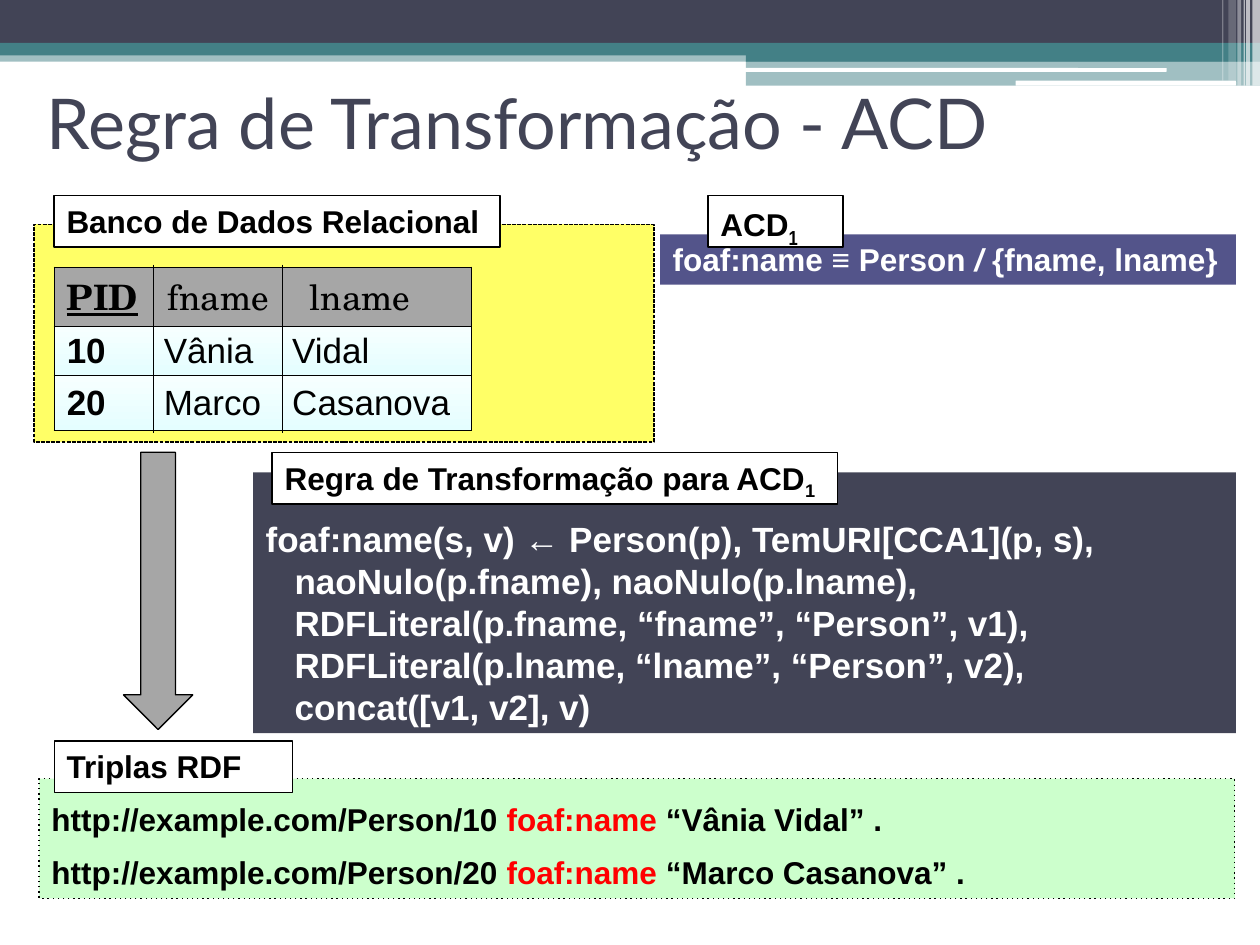
import lxml.etree
import pptx
import pptx.dml.color
import pptx.enum.dml
import pptx.enum.shapes
import pptx.enum.text
import pptx.oxml
import pptx.oxml.ns
import pptx.util

Inches = pptx.util.Inches
Pt = pptx.util.Pt
SHAPE = pptx.enum.shapes.MSO_SHAPE
DASH = pptx.enum.dml.MSO_LINE
ANCHOR = pptx.enum.text.MSO_ANCHOR
LEFT = pptx.enum.text.PP_ALIGN.LEFT
qn = pptx.oxml.ns.qn

COLORS = {
    "navy": "424456", "teal": "438086", "white": "FFFFFF", "black": "000000",
    "yellow": "FFFF66", "indigo": "53548A", "gray": "A6A6A6", "red": "FF0000",
    "green": "CCFFCC", "ice_top": "F6FFFF", "ice_bottom": "E4FEFF",
}
LABEL = {"size": 18, "name": "Arial", "bold": True, "color": "black"}
LIGHT_LABEL = {**LABEL, "color": "white"}
CODE = {**LIGHT_LABEL, "size": 20}
RED_LABEL = {**LABEL, "color": "red"}
CELL = {"size": 20, "name": "Arial", "bold": False, "color": "black"}
HEADER = {**CELL, "name": "TeX Gyre Schola"}

# Top band: left, top, width, height, color, opacity in percent, rounded
BAND = [
    (0, 0.4, 10, 0.09, "teal", 50, False),
    (0, 0, 10, 0.34, "navy", 100, False),
    (0, 0.34, 10, 0.1, "teal", 100, False),
    (5.92, 0.39, 4.08, 0.1, "teal", 100, False),
    (5.92, 0.48, 4.08, 0.2, "teal", 50, False),
    (5.91, 0.54, 3.35, 0.03, "white", 100, True),
    (8.06, 0.64, 1.75, 0.04, "white", 100, True),
    (9.94, 0, 0.06, 0.68, "white", 65, False),
    (9.89, 0, 0.03, 0.68, "white", 65, False),
    (9.87, 0, 0.01, 0.68, "white", 60, False),
    (9.82, 0, 0.03, 0.68, "white", 40, False),
    (9.75, 0, 0.06, 0.64, "white", 20, False),
    (9.7, 0, 0.01, 0.64, "white", 30, False),
]


def rgb(name):
    return pptx.dml.color.RGBColor.from_string(COLORS[name])


def add_shape(page, place, fill, line=None, dash=None, kind=SHAPE.RECTANGLE):
    shape = page.shapes.add_shape(kind, *map(Inches, place))
    shape.shadow.inherit = False
    shape.fill.solid()
    shape.fill.fore_color.rgb = rgb(fill)
    if line:
        shape.line.color.rgb = rgb(line)
        shape.line.width = Pt(0.75)
        if dash:
            shape.line.dash_style = dash
    else:
        shape.line.fill.background()
    return shape


def add_span(para, text, style, baseline=None):
    span = para.add_run()
    span.text = text
    for key, value in style.items():
        if key == "color":
            span.font.color.rgb = rgb(value)
        else:
            setattr(span.font, key, Pt(value) if key == "size" else value)
    if baseline:
        span.font._element.set("baseline", str(baseline * 1000))


def write(frame, paragraphs, spacing=None):
    """Each paragraph is a list of (text, style[, baseline]) spans."""
    frame.word_wrap = True
    frame.vertical_anchor = ANCHOR.TOP
    for index, spans in enumerate(paragraphs):
        para = frame.add_paragraph() if index else frame.paragraphs[0]
        para.alignment = LEFT
        if spacing:
            para.line_spacing = spacing
        for span in spans:
            add_span(para, *span)


def add_label(page, left, top, width, *spans):
    box = add_shape(page, (left, top, width, 0.41), "white", "black")
    write(box.text_frame, [spans])


def add_line(page, x, top, bottom):
    line = page.shapes.add_connector(
        pptx.enum.shapes.MSO_CONNECTOR.STRAIGHT,
        Inches(x), Inches(top), Inches(x), Inches(bottom))
    line.line.color.rgb = rgb("black")
    line.line.width = Pt(0.75)
    lxml.etree.SubElement(line._element.spPr, qn("a:effectLst"))


def set_borders(cell, sides):
    properties = cell._tc.get_or_add_tcPr()
    for index, side in enumerate("LRTB"):
        paint = (f'<a:solidFill><a:srgbClr val="{COLORS["black"]}"/></a:solidFill>'
                 if side in sides else "<a:noFill/>")
        border = pptx.oxml.parse_xml(
            f'<a:ln{side} {pptx.oxml.ns.nsdecls("a")} w="9525">'
            f"{paint}</a:ln{side}>")
        properties.insert(index, border)


def fill_cell(cell, is_header):
    if is_header:
        cell.fill.solid()
        cell.fill.fore_color.rgb = rgb("gray")
        return
    cell.fill.gradient()
    cell.fill.gradient_angle = 270
    for stop, name in zip(cell.fill.gradient_stops, ("ice_top", "ice_bottom")):
        stop.color.rgb = rgb(name)


def add_person_table(page):
    rows = [("PID", "fname", "lname"), ("10", "Vânia", "Vidal"),
            ("20", "Marco", "Casanova")]
    widths, heights = (0.79, 1.02, 1.5), (0.45, 0.39, 0.44)
    table = page.shapes.add_table(
        3, 3, Inches(0.43), Inches(2.12),
        Inches(sum(widths)), Inches(sum(heights))).table
    for column, width in zip(table.columns, widths):
        column.width = Inches(width)
    for r, (row, height) in enumerate(zip(rows, heights)):
        table.rows[r].height = Inches(height)
        for c, text in enumerate(row):
            cell = table.cell(r, c)
            is_header = r == 0
            cell.margin_left = Inches(
                ((0.1, 0.11, 0.22) if is_header else (0.1, 0.08, 0.08))[c])
            cell.margin_right = 0
            cell.margin_top = cell.margin_bottom = Inches(0.02)
            cell.vertical_anchor = ANCHOR.MIDDLE
            fill_cell(cell, is_header)
            set_borders(cell, "TB" + ("L", "", "R")[c])
            style = {**(HEADER if is_header else CELL), "bold": c == 0,
                     "underline": is_header and c == 0}
            add_span(cell.text_frame.paragraphs[0], text, style)
    # Column rules reach slightly past the table
    for x in (1.22, 2.24):
        add_line(page, x, 2.1, 3.44)


def add_band(page):
    for *place, color, opacity, rounded in BAND:
        kind = SHAPE.ROUNDED_RECTANGLE if rounded else SHAPE.RECTANGLE
        bar = add_shape(page, place, color, kind=kind)
        if opacity < 100:
            paint = bar._element.spPr.find(".//" + qn("a:srgbClr"))
            lxml.etree.SubElement(paint, qn("a:alpha"), val=str(opacity * 1000))


def add_title(page, text):
    title = page.shapes.title
    place = {"left": 0.27, "top": 0.38, "width": 9, "height": 1.17}
    for key, value in place.items():
        setattr(title, key, Inches(value))
    write(title.text_frame, [[(text, {"size": 40, "name": "Lato", "color": "navy"})]])
    title.text_frame.vertical_anchor = ANCHOR.MIDDLE


def add_rule(page):
    panel = add_shape(page, (2.01, 3.75, 7.8, 2.07), "navy")
    lines = ["foaf:name(s, v) ← Person(p), TemURI[CCA1](p, s),",
             "naoNulo(p.fname), naoNulo(p.lname),",
             "RDFLiteral(p.fname, “fname”, “Person”, v1),",
             "RDFLiteral(p.lname, “lname”, “Person”, v2),",
             "concat([v1, v2], v)"]
    panel.text_frame.margin_top = Inches(0.36)
    write(panel.text_frame, [[(line, CODE)] for line in lines], Pt(24))
    for para in panel.text_frame.paragraphs[1:]:
        para._p.get_or_add_pPr().set("marL", str(Inches(0.23)))
    add_label(page, 2.16, 3.59, 4.49,
              ("Regra de Transformação para ACD", LABEL), ("1", LABEL, -25))


def add_triples(page):
    panel = add_shape(page, (0.31, 6.18, 9.49, 0.95), "green", "black", DASH.ROUND_DOT)
    panel.line._get_or_add_ln().find(qn("a:prstDash")).set("val", "dot")
    people = [(10, "Vânia Vidal"), (20, "Marco Casanova")]
    write(panel.text_frame,
          [[(f"http://example.com/Person/{number} ", LABEL),
            ("foaf:name", RED_LABEL), (f" “{name}” .", LABEL)]
           for number, name in people], 1.4)
    add_label(page, 0.43, 5.88, 1.89, ("Triplas RDF", LABEL))


def main():
    deck = pptx.Presentation()
    deck.slide_width, deck.slide_height = Inches(10), Inches(7.5)
    page = deck.slides.add_slide(deck.slide_layouts[5])
    add_band(page)
    add_title(page, "Regra de Transformação - ACD")

    # Relational database
    add_shape(page, (0.27, 1.78, 4.92, 1.73), "yellow", "black", DASH.SQUARE_DOT)
    add_label(page, 0.43, 1.55, 3.54, ("Banco de Dados Relacional", LABEL))
    add_person_table(page)

    # Correspondence assertion
    assertion = add_shape(page, (5.24, 1.86, 4.57, 0.4), "indigo")
    write(assertion.text_frame, [[("foaf:name ≡ Person ", LIGHT_LABEL),
                                  ("/", {**LIGHT_LABEL, "italic": True}),
                                  (" {fname, lname}", LIGHT_LABEL)]])
    add_label(page, 5.62, 1.55, 1.07, ("ACD", LABEL),
              ("1", {**LABEL, "size": 20, "name": "Arial Narrow"}, -25))

    # Transformation rule and resulting triples
    add_rule(page)
    add_triples(page)
    add_shape(page, (0.98, 3.59, 0.55, 2.2), "gray", "black", kind=SHAPE.DOWN_ARROW)
    deck.save("out.pptx")


if __name__ == "__main__":
    main()
